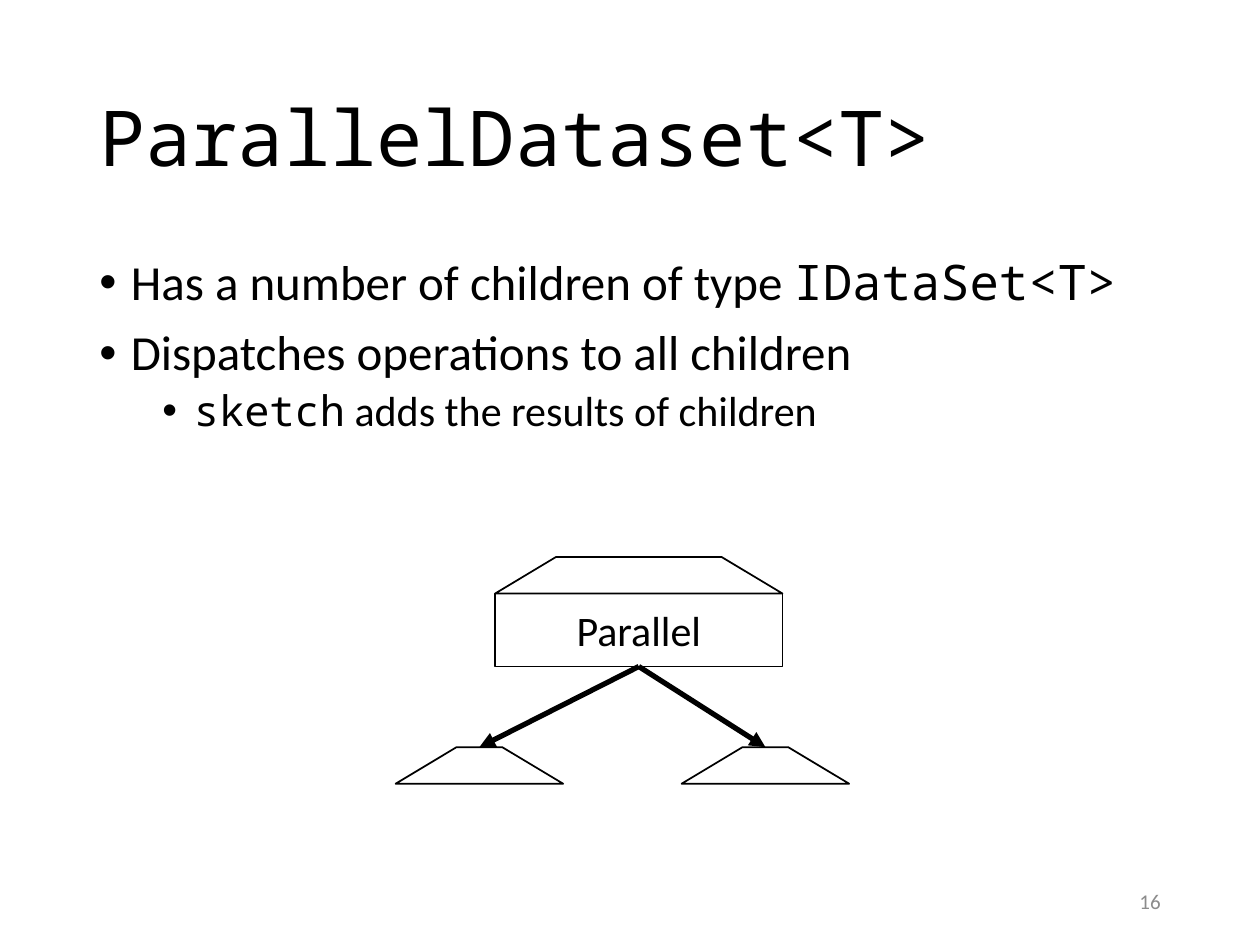
from dataclasses import dataclass

from lxml.etree import SubElement
from pptx import Presentation
from pptx.dml.color import RGBColor
from pptx.enum.shapes import MSO_CONNECTOR, MSO_SHAPE
from pptx.enum.text import MSO_ANCHOR, PP_ALIGN
from pptx.oxml.ns import qn
from pptx.util import Inches, Pt


@dataclass(frozen=True)
class Theme:
    ink: RGBColor = RGBColor(0, 0, 0)
    muted: RGBColor = RGBColor(0x8C, 0x8C, 0x8C)
    sans: str = "Calibri"
    mono: str = "Noto Sans Mono"
    title: int = 44
    body: int = 28
    detail: int = 24
    footer: int = 12
    outline: int = 1
    arrow: int = 3


class SlideBuilder:
    """Places elements on a grid of 100 columns by 75 rows."""

    def __init__(self, deck, theme):
        self.theme = theme
        self.slide = deck.slides.add_slide(deck.slide_layouts[6])
        self.column = deck.slide_width / 100
        self.row = deck.slide_height / 75

    def place(self, x, y, width, height):
        return (round(x * self.column), round(y * self.row),
                round(width * self.column), round(height * self.row))

    def add_runs(self, paragraph, pieces, size, color=None):
        for wording, face in pieces:
            run = paragraph.add_run()
            run.text = wording
            run.font.name = face
            run.font.size = Pt(size)
            run.font.color.rgb = color or self.theme.ink

    def text(self, area, pieces, size, color=None, align=PP_ALIGN.LEFT, spacing=1.0):
        frame = self.slide.shapes.add_textbox(*self.place(*area)).text_frame
        frame.word_wrap = True
        frame.vertical_anchor = MSO_ANCHOR.MIDDLE
        paragraph = frame.paragraphs[0]
        paragraph.alignment = align
        paragraph.line_spacing = spacing
        self.add_runs(paragraph, pieces, size, color)

    def bullets(self, area, items):
        frame = self.slide.shapes.add_textbox(*self.place(*area)).text_frame
        frame.word_wrap = True
        for index, (level, pieces) in enumerate(items):
            paragraph = frame.add_paragraph() if index else frame.paragraphs[0]
            paragraph.level = level
            paragraph.line_spacing = 0.9
            if index:
                paragraph.space_before = Pt(5 if level else 10)
            properties = paragraph._p.get_or_add_pPr()
            properties.set("marL", str(Inches(0.25 + 0.5 * level)))
            properties.set("indent", str(Inches(-0.25)))
            SubElement(properties, qn("a:buFont"), typeface="Arial")
            SubElement(properties, qn("a:buChar"), char="•")
            self.add_runs(paragraph, pieces, self.theme.detail if level else self.theme.body)

    def outline(self, kind, area):
        shape = self.slide.shapes.add_shape(kind, *self.place(*area))
        shape.shadow.inherit = False
        shape.fill.background()
        shape.line.color.rgb = self.theme.ink
        shape.line.width = Pt(self.theme.outline)
        return shape

    def roof(self, area):
        self.outline(MSO_SHAPE.TRAPEZOID, area).adjustments[0] = 1.667

    def box(self, area, label):
        frame = self.outline(MSO_SHAPE.RECTANGLE, area).text_frame
        frame.word_wrap = False
        frame.vertical_anchor = MSO_ANCHOR.MIDDLE
        frame.paragraphs[0].alignment = PP_ALIGN.CENTER
        self.add_runs(frame.paragraphs[0], [(label, self.theme.sans)], self.theme.detail)

    def arrow(self, start, end):
        link = self.slide.shapes.add_connector(
            MSO_CONNECTOR.STRAIGHT, *self.place(*start, *end))
        link.line.color.rgb = self.theme.ink
        link.line.width = Pt(self.theme.arrow)
        properties = link._element.spPr
        SubElement(properties.get_or_add_ln(), qn("a:tailEnd"), type="triangle")
        SubElement(properties, qn("a:effectLst"))


def main():
    deck = Presentation()
    deck.slide_width, deck.slide_height = Inches(10), Inches(7.5)
    theme = Theme()
    page = SlideBuilder(deck, theme)

    # Title and bullets
    page.text((6.9, 4, 86.2, 14.5), [("ParallelDataset<T>", theme.mono)],
              theme.title, spacing=0.9)
    page.bullets((6.9, 20, 88.1, 20.7), [
        (0, [("Has a number of children of type ", theme.sans),
             ("IDataSet<T>", theme.mono)]),
        (0, [("Dispatches operations to all children", theme.sans)]),
        (1, [("sketch", theme.mono), (" adds the results of children", theme.sans)]),
    ])

    # Child data sets, each reached by an arrow from the parent
    parent_left, parent_width, parent_top = 39.3, 22.8, 47.1
    roof_height, box_height = 2.9, 5.8
    child_width, child_top = 13.3, 59.3
    parent_foot = (parent_left + parent_width / 2, parent_top + box_height)
    for child_left in (31.4, 54.1):
        page.roof((child_left, child_top, child_width, roof_height))
        page.arrow(parent_foot, (child_left + child_width / 2, child_top))

    # Parent data set
    page.roof((parent_left, parent_top - roof_height, parent_width, roof_height))
    page.box((parent_left, parent_top, parent_width, box_height), "Parallel")

    # Slide number
    page.text((70.6, 69.5, 22.5, 4), [("16", theme.sans)], theme.footer,
              theme.muted, PP_ALIGN.RIGHT)

    deck.save("out.pptx")


if __name__ == "__main__":
    main()
